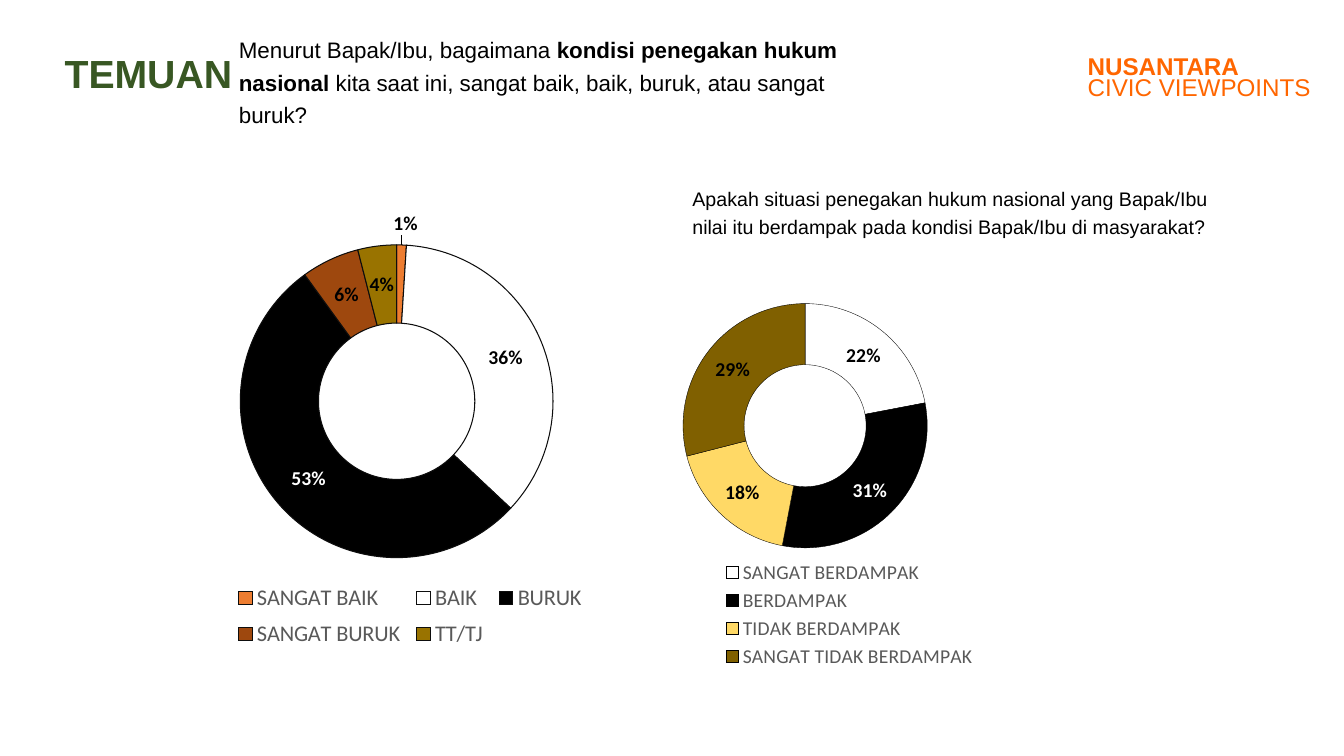
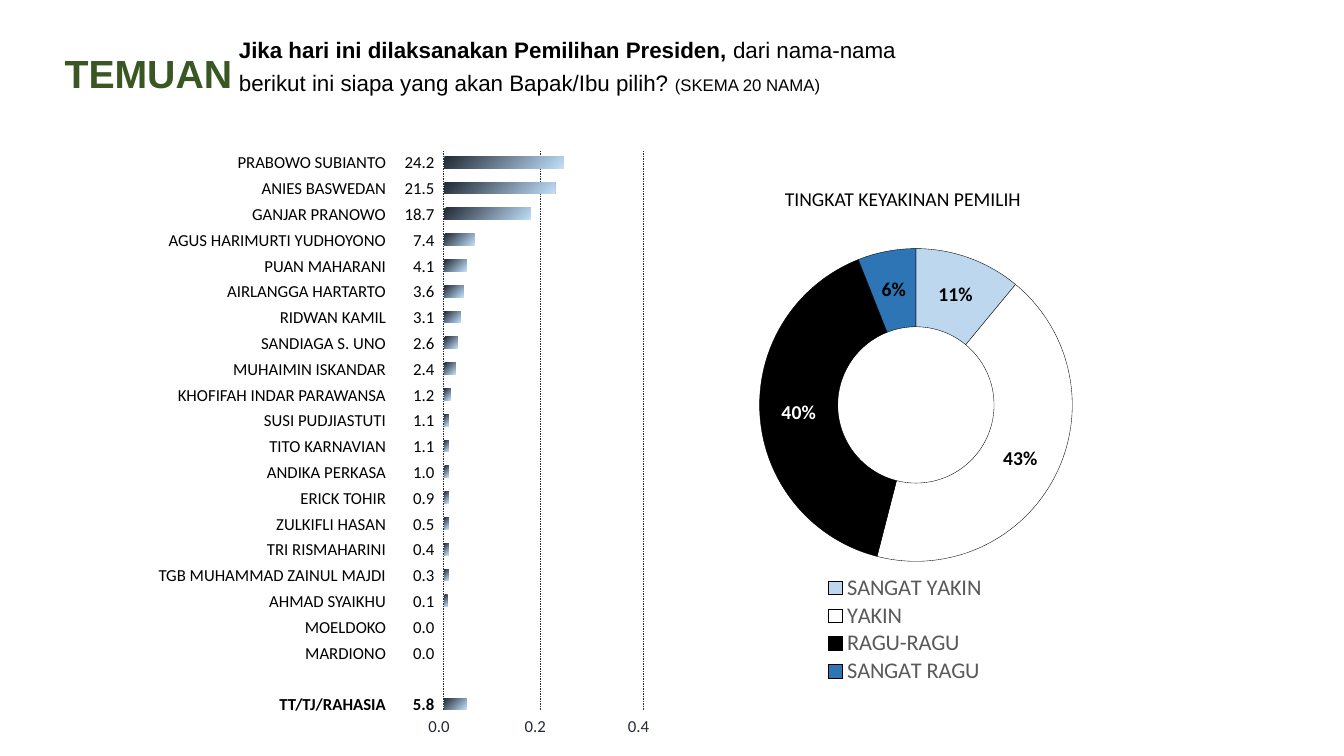
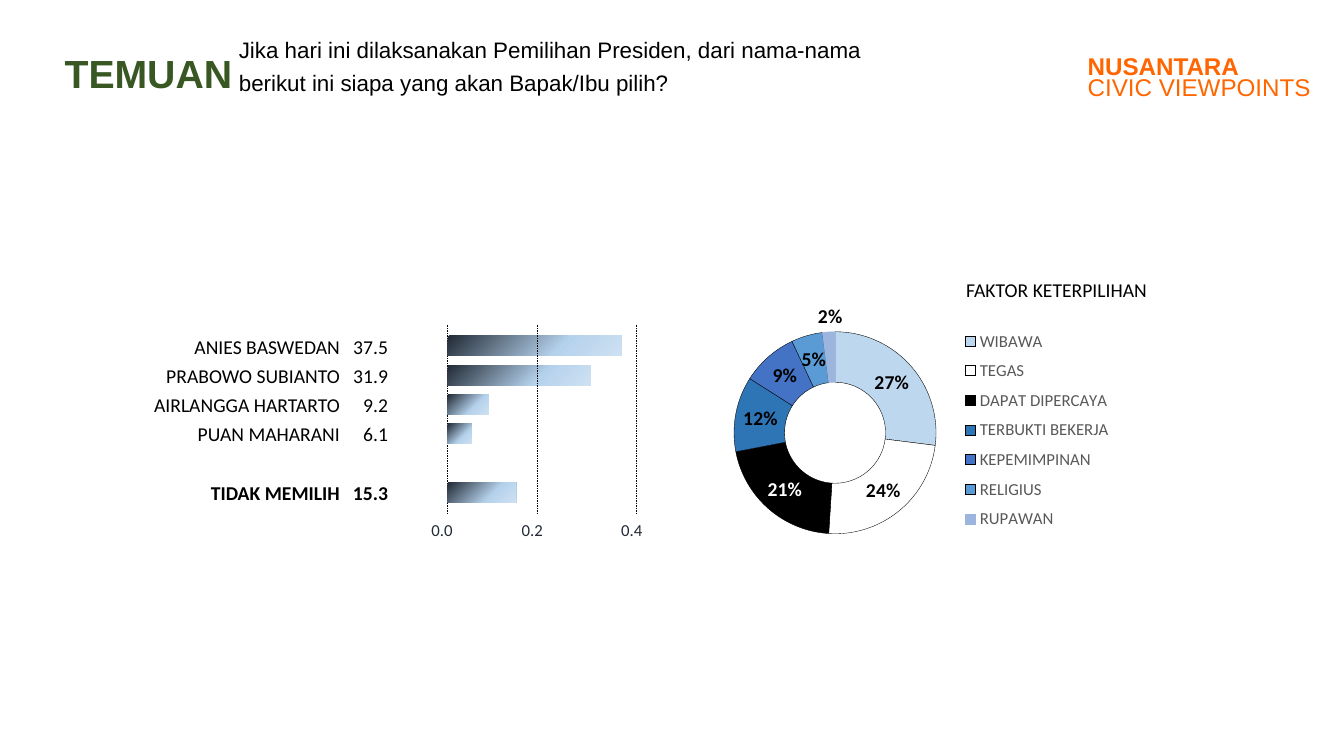
from pptx import Presentation
from pptx.chart.data import CategoryChartData
from pptx.dml.color import RGBColor
from pptx.enum.chart import XL_CHART_TYPE, XL_LEGEND_POSITION
from pptx.enum.dml import MSO_LINE
from pptx.enum.shapes import MSO_CONNECTOR, MSO_SHAPE
from pptx.enum.text import PP_ALIGN
from pptx.oxml import parse_xml
from pptx.oxml.ns import nsdecls, qn
from pptx.util import Cm, Pt

DOUGHNUT = XL_CHART_TYPE.DOUGHNUT
LEGEND_TOP = XL_LEGEND_POSITION.TOP
DASH = MSO_LINE.DASH
STRAIGHT = MSO_CONNECTOR.STRAIGHT
RECT = MSO_SHAPE.RECTANGLE
LEFT, RIGHT = PP_ALIGN.LEFT, PP_ALIGN.RIGHT

BLACK, WHITE = "000000", "FFFFFF"
GREEN, ORANGE = "385723", "FF6600"
GRAY, NAVY = "595959", "222A35"
PALE, SKY, BLUE = "BDD7EE", "B5D2EC", "2E75B6"
HEADING, BODY = "Arial", "Calibri"

CANDIDATES = [
    ("PRABOWO SUBIANTO", "24.2", 3),
    ("ANIES BASWEDAN", "21.5", 2.79),
    ("GANJAR PRANOWO", "18.7", 2.18),
    ("AGUS HARIMURTI YUDHOYONO", "7.4", 0.76),
    ("PUAN MAHARANI", "4.1", 0.56),
    ("AIRLANGGA HARTARTO", "3.6", 0.48),
    ("RIDWAN KAMIL", "3.1", 0.41),
    ("SANDIAGA S. UNO", "2.6", 0.33),
    ("MUHAIMIN ISKANDAR", "2.4", 0.28),
    ("KHOFIFAH INDAR PARAWANSA", "1.2", 0.15),
    ("SUSI PUDJIASTUTI", "1.1", 0.1),
    ("TITO KARNAVIAN", "1.1", 0.1),
    ("ANDIKA PERKASA", "1.0", 0.1),
    ("ERICK TOHIR", "0.9", 0.1),
    ("ZULKIFLI HASAN", "0.5", 0.1),
    ("TRI RISMAHARINI", "0.4", 0.1),
    ("TGB MUHAMMAD ZAINUL MAJDI", "0.3", 0.1),
    ("AHMAD SYAIKHU", "0.1", 0.07),
    ("MOELDOKO", "0.0", 0),
    ("MARDIONO", "0.0", 0),
    ("TT/TJ/RAHASIA", "5.8", 0.56),
]
FINALISTS = [
    ("ANIES BASWEDAN", "37.5", 4.39),
    ("PRABOWO SUBIANTO", "31.9", 3.61),
    ("AIRLANGGA HARTARTO", "9.2", 1.04),
    ("PUAN MAHARANI", "6.1", 0.61),
    ("TIDAK MEMILIH", "15.3", 1.73),
]


def rgb(color):
    return RGBColor.from_string(color)


def style_font(font, size, color=BLACK, name=BODY, bold=False):
    font.size = Pt(size)
    font.name = name
    font.bold = bold
    font.color.rgb = rgb(color)


def add_run(p, text, size=14, **fmt):
    r = p.add_run()
    r.text = text
    style_font(r.font, size, **fmt)


def add_box(s, x, y, w, h, align=LEFT, spacing=1.0, inset=0.25):
    tf = s.shapes.add_textbox(Cm(x), Cm(y), Cm(w), Cm(h)).text_frame
    tf.word_wrap = True
    tf.margin_left = tf.margin_right = Cm(inset)
    p = tf.paragraphs[0]
    p.alignment = align
    p.line_spacing = spacing
    return tf


def add_text(s, text, x, y, w, h, align=LEFT, spacing=1.0, inset=0.25, **fmt):
    tf = add_box(s, x, y, w, h, align, spacing, inset)
    add_run(tf.paragraphs[0], text, **fmt)


def add_header(s, runs, width=16.97, brand=True):
    heading = dict(spacing=0.9, inset=0.28, name=HEADING)
    if brand:
        for text, y, bold in (("NUSANTARA", 1.24, True), ("CIVIC VIEWPOINTS", 1.78, False)):
            add_text(s, text, 27.13, y, 6.43, 1.14, size=17.3, color=ORANGE, bold=bold, **heading)
    add_text(s, "TEMUAN", 1.35, 1.24, 11.94, 1.14, size=28, color=GREEN, bold=True, **heading)
    p = add_box(s, 5.77, 0.66, width, 1.9, spacing=1.2).paragraphs[0]
    for text, size, bold in runs:
        add_run(p, text, size, name=HEADING, bold=bold)


def set_layout(el, index, x, y, w=None, h=None, inner=False):
    for old in el.findall(qn("c:layout")):
        el.remove(old)
    parts = '<c:layoutTarget val="inner"/>' if inner else ""
    if w:
        parts += '<c:xMode val="edge"/><c:yMode val="edge"/>'
    parts += f'<c:x val="{x}"/><c:y val="{y}"/>'
    if w:
        parts += f'<c:w val="{w}"/><c:h val="{h}"/>'
    el.insert(index, parse_xml(
        f'<c:layout {nsdecls("c")}><c:manualLayout>{parts}</c:manualLayout></c:layout>'))


def format_label(point, color, shift):
    label = point.data_label
    style_font(label.font, 14, color, bold=True)
    dlbl = label.font._element.getparent().getparent().getparent().getparent()
    dlbl.find(qn("c:showVal")).set("val", "0")
    dlbl.find(qn("c:showPercent")).set("val", "1")
    if shift:
        set_layout(dlbl, 1, *shift)


def add_doughnut(s, frame, slices, plot, legend, legend_size, line=(BLACK, 0.25), shifts=None,
                 unlined=()):
    data = CategoryChartData()
    data.categories = [name for name, value, color in slices]
    data.add_series("Series 1", [value for name, value, color in slices])
    chart = s.shapes.add_chart(DOUGHNUT, *map(Cm, frame), data).chart
    chart.has_title = False
    style_font(chart.font, 10)
    chart.has_legend = True
    chart.legend.position = LEGEND_TOP
    chart.legend.include_in_layout = False
    style_font(chart.legend.font, legend_size, GRAY)
    set_layout(chart.legend._element, 1, *legend)
    set_layout(chart.plots[0]._element.getparent(), 0, *plot, inner=True)

    series = chart.plots[0].series[0]
    labels = series.data_labels
    labels.show_value = False
    labels.show_percentage = True
    style_font(labels.font, 14, bold=True)
    for i, (name, value, color) in enumerate(slices):
        point = series.points[i]
        point.format.fill.solid()
        point.format.fill.fore_color.rgb = rgb(color)
        point.format.line.color.rgb = rgb(color if name in unlined else line[0])
        point.format.line.width = Pt(line[1])
        shift = (shifts or {}).get(name)
        if shift or color == BLACK:
            format_label(point, WHITE if color == BLACK else BLACK, shift)


def add_rows(s, rows, x, y, tabs, size, gap):
    tf = add_box(s, x, y, tabs[-1] + 0.9, 1)
    stops = "".join(f'<a:tab pos="{Cm(tab)}" algn="r"/>' for tab in tabs)
    for i, (name, value, width) in enumerate(rows):
        last = i == len(rows) - 1
        p = tf.add_paragraph() if i else tf.paragraphs[0]
        p.space_before = Pt(gap if last else 2)
        p.space_after = Pt(2)
        p._p.get_or_add_pPr().append(parse_xml(f'<a:tabLst {nsdecls("a")}>{stops}</a:tabLst>'))
        add_run(p, f"\t{name}\t{value}", size, bold=last)


def add_bars(s, rows, x, y, pitch, height, middle):
    for i, (name, value, width) in enumerate(rows):
        if not width:
            continue
        row = i + 1 if i == len(rows) - 1 else i
        sp = s.shapes.add_shape(RECT, Cm(x), Cm(y + row * pitch), Cm(width), Cm(height))
        sp.shadow.inherit = False
        sp.line.fill.background()
        sp.fill.background()
        sp_pr = sp._element.spPr
        stops = "".join(
            f'<a:gs pos="{pos * 1000}"><a:srgbClr val="{color}"/></a:gs>'
            for pos, color in ((0, "CEE1F2"), (middle, SKY), (100, NAVY)))
        sp_pr.replace(sp_pr.find(qn("a:noFill")), parse_xml(
            f'<a:gradFill {nsdecls("a")}><a:gsLst>{stops}</a:gsLst>'
            '<a:path path="circle"><a:fillToRect l="100000" t="100000"/></a:path></a:gradFill>'))


def add_gridline(s, value, x, top, bottom, color):
    line = s.shapes.add_connector(STRAIGHT, Cm(x), Cm(top), Cm(x), Cm(bottom))
    line.line.color.rgb = rgb(color)
    line.line.width = Pt(0.25)
    line.line.dash_style = DASH
    line._element.spPr.append(parse_xml(f'<a:effectLst {nsdecls("a")}/>'))
    add_text(s, value, x - 0.92, bottom, 1.32, 0.76, align=RIGHT, size=12, color=NAVY)


def build_law(s):
    add_header(s, [
        ("Menurut Bapak/Ibu, bagaimana ", 16, False),
        ("kondisi penegakan hukum nasional ", 16, True),
        ("kita saat ini, sangat baik, baik, buruk, atau sangat buruk?", 16, False)])
    add_doughnut(
        s, (3.61, 4.83, 13.59, 12.73),
        [("SANGAT BAIK", 1, "ED7D31"), ("BAIK", 36, WHITE), ("BURUK", 53, BLACK),
         ("SANGAT BURUK", 6, "9E480E"), ("TT/TJ", 4, "997300")],
        (0.18, 0.1, 0.58, 0.63), (0.16, 0.76, 0.67, 0.16), 16, line=("0D0D0D", 0.75),
        shifts={"SANGAT BAIK": (0.01, -0.12)})
    add_text(s, "Apakah situasi penegakan hukum nasional yang Bapak/Ibu nilai itu berdampak "
             "pada kondisi Bapak/Ibu di masyarakat?",
             17.2, 4.47, 14.15, 1.7, spacing=1.2, name=HEADING)
    add_doughnut(
        s, (16.33, 6.68, 9.78, 10.8),
        [("SANGAT BERDAMPAK", 22, WHITE), ("BERDAMPAK", 31, BLACK),
         ("TIDAK BERDAMPAK", 18, "FFD966"), ("SANGAT TIDAK BERDAMPAK", 29, "806000")],
        (0.09, 0.09, 0.63, 0.57), (0.18, 0.68, 0.68, 0.27), 14)


def build_candidates(s):
    add_header(s, [
        ("Jika hari ini dilaksanakan Pemilihan Presiden, ", 16, True),
        ("dari nama-nama berikut ini siapa yang akan Bapak/Ibu pilih? ", 16, False),
        ("(SKEMA 20 NAMA)", 12, False)], width=17.45, brand=False)
    axis = (3.8, 17.9, NAVY)
    add_gridline(s, "0.2", 13.61, *axis)
    add_rows(s, CANDIDATES, 2.29, 3.71, (7.19, 8.41), 12, 20.5)
    add_bars(s, CANDIDATES, 11.2, 3.94, 0.65, 0.3, 7)
    add_gridline(s, "0.0", 11.18, *axis)
    add_gridline(s, "0.4", 16.21, *axis)
    add_doughnut(
        s, (16.56, 5.05, 13.59, 12.73),
        [("SANGAT YAKIN", 11, PALE), ("YAKIN", 43, WHITE), ("RAGU-RAGU", 40, BLACK),
         ("SANGAT RAGU", 6, BLUE)],
        (0.19, 0.09, 0.58, 0.63), (0.31, 0.74, 0.3, 0.22), 16)
    add_text(s, "TINGKAT KEYAKINAN PEMILIH", 19.53, 4.47, 9.32, 0.97, spacing=1.2)


def build_finalists(s):
    add_header(s, [
        ("Jika hari ini dilaksanakan Pemilihan Presiden, dari nama-nama berikut ini "
         "siapa yang akan Bapak/Ibu pilih?", 16, False)])
    axis = (8.2, 12.98, BLACK)
    add_gridline(s, "0.0", 11.26, *axis)
    add_rows(s, FINALISTS, 2.54, 8.31, (5.78, 6.99), 14, 23)
    add_bars(s, FINALISTS, 11.28, 8.46, 0.74, 0.51, 36)
    add_gridline(s, "0.2", 13.53, *axis)
    add_gridline(s, "0.4", 16.04, *axis)
    add_doughnut(
        s, (16.56, 5.05, 13.59, 12.73),
        [("WIBAWA", 27, PALE), ("TEGAS", 24, WHITE), ("DAPAT DIPERCAYA", 21, BLACK),
         ("TERBUKTI BEKERJA", 12, BLUE), ("KEPEMIMPINAN", 9, "4472C4"),
         ("RELIGIUS", 5, "5B9BD5"), ("RUPAWAN", 2, "9CB5DF")],
        (0.14, 0.26, 0.38, 0.4), (0.56, 0.24, 0.29, 0.43), 12,
        shifts={"RUPAWAN": (0, -0.08)}, unlined=("RUPAWAN",))
    add_text(s, "FAKTOR KETERPILIHAN", 24.1, 6.76, 9.32, 0.91, spacing=1.2)


def main():
    prs = Presentation()
    prs.slide_width, prs.slide_height = Cm(33.87), Cm(19.05)
    for build in (build_law, build_candidates, build_finalists):
        build(prs.slides.add_slide(prs.slide_layouts[6]))
    prs.save("out.pptx")


if __name__ == "__main__":
    main()
